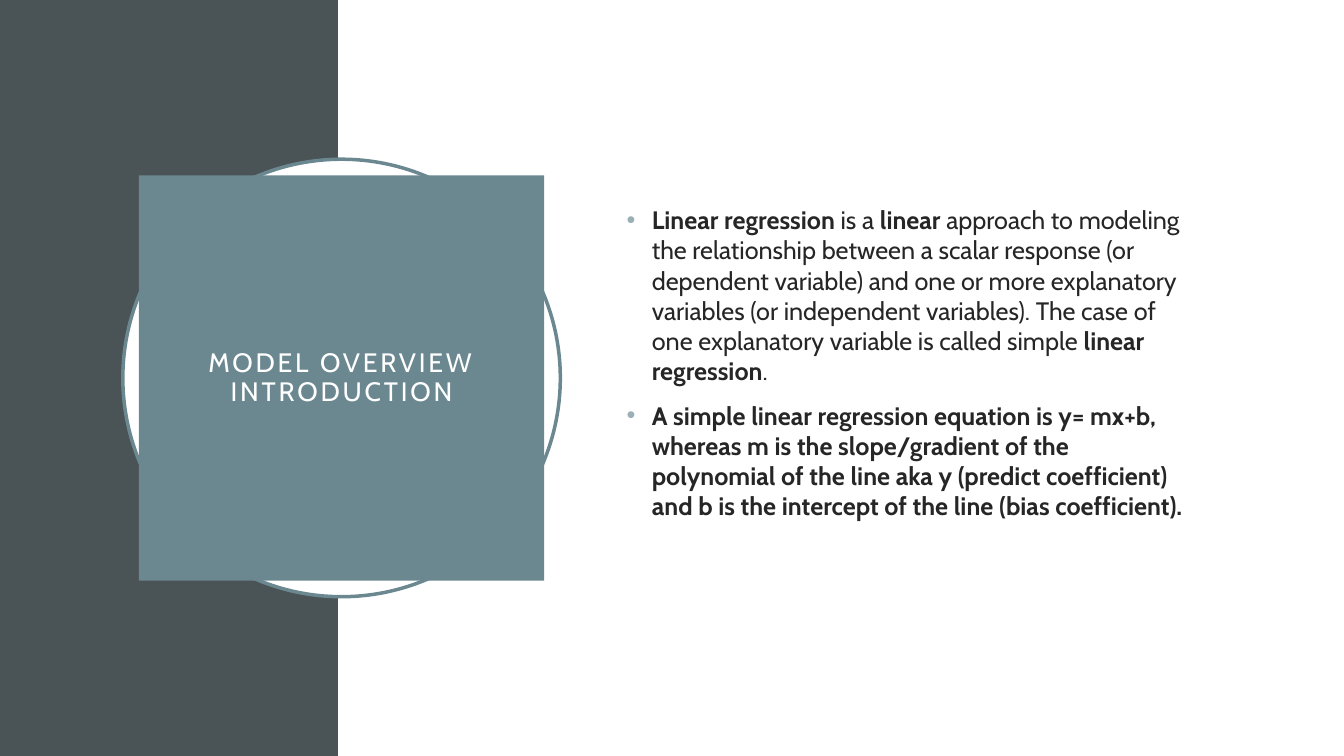
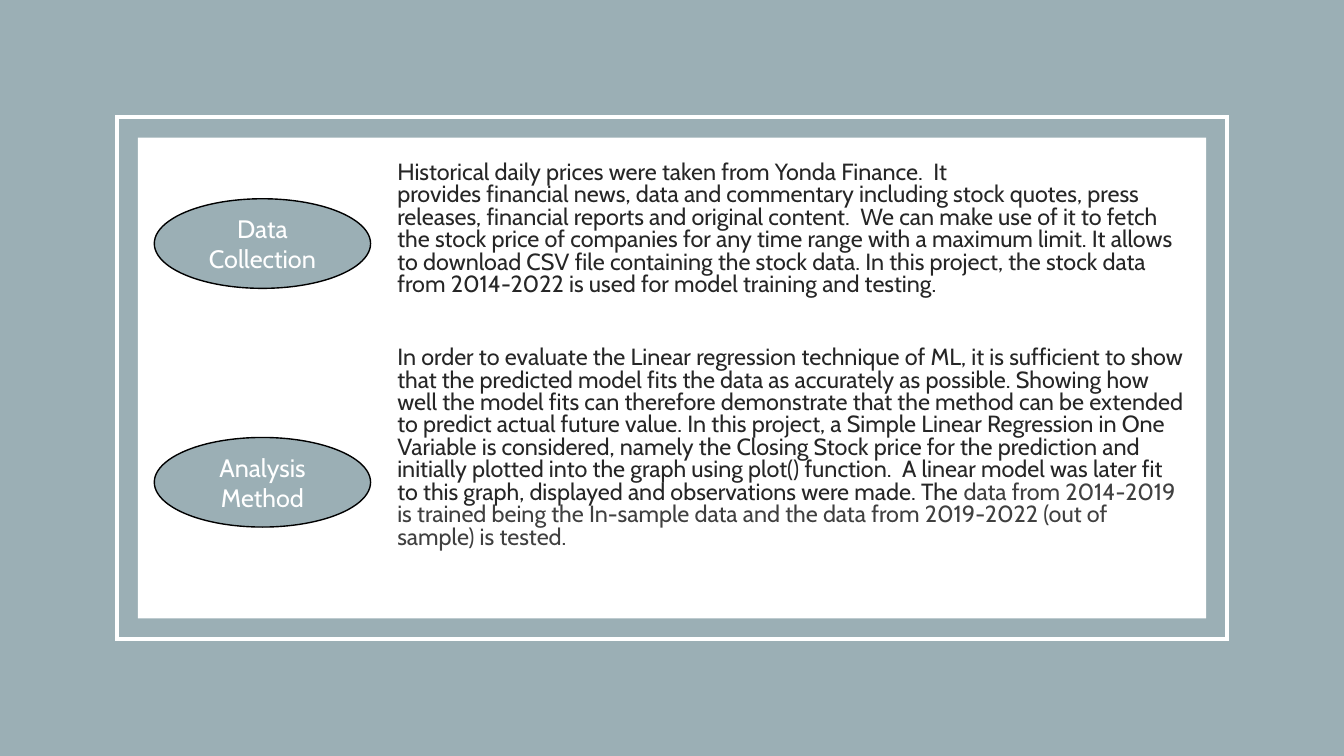
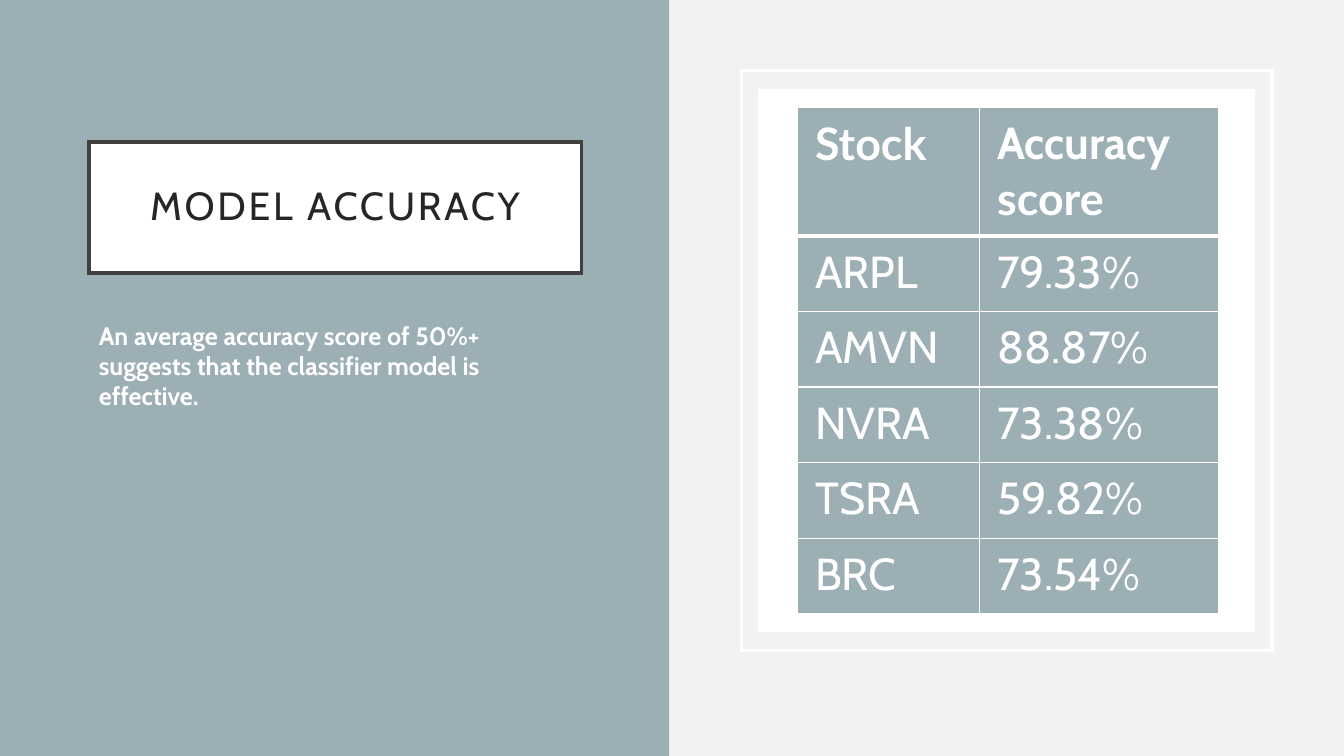
from pptx import Presentation
from pptx.dml.color import RGBColor
from pptx.enum.shapes import MSO_SHAPE as Shape
from pptx.enum.text import MSO_ANCHOR as Anchor, PP_ALIGN as Align
from pptx.oxml.ns import qn
from pptx.util import Pt
from lxml.etree import SubElement, Element

WIDTH, HEIGHT = 960, 540
FONT = "Cabin"
NBSP = chr(160)
COLOURS = {
    "white": "FFFFFF", "pale": "F2F2F2", "mist": "9BAFB5", "teal": "6B8891",
    "slate": "4A5356", "ink": "262626", "grey": "404040", "black": "000000",
}
TITLE = dict(align=Align.CENTER, anchor=Anchor.MIDDLE, line=0.9, tracking=2,
             insets=(14.4, 14.4))


def colour(name):
    return RGBColor.from_string(COLOURS[name])


def points(values):
    return [Pt(value) for value in values]


# Text
def add_bullet(para, mark, mark_colour, indent):
    props = para._p.get_or_add_pPr()
    props.set("marL", str(Pt(indent)))
    props.set("indent", str(-Pt(indent)))
    tint = SubElement(props, qn("a:buClr"))
    SubElement(tint, qn("a:srgbClr"), val=COLOURS[mark_colour])
    SubElement(props, qn("a:buFont"), typeface="Arial")
    SubElement(props, qn("a:buChar"), char=mark)


def write(frame, paras, size=18, ink="ink", font=FONT, bold=False, align=Align.LEFT,
          anchor=Anchor.TOP, line=None, before=0, tracking=0, bullet=None,
          insets=(7.2, 3.6)):
    """Each paragraph is a list of runs; a run is (text, overrides)."""
    frame.word_wrap = True
    frame.vertical_anchor = anchor
    frame.margin_left = frame.margin_right = Pt(insets[0])
    frame.margin_top = frame.margin_bottom = Pt(insets[1])
    for index, runs in enumerate(paras):
        para = frame.add_paragraph() if index else frame.paragraphs[0]
        para.alignment = align
        para.space_before = Pt(before)
        if line:
            para.line_spacing = line
        if bullet:
            add_bullet(para, bullet, "mist", 18)
        for text, changes in runs:
            look = dict(ink=ink, font=font, bold=bold) | changes
            for number, part in enumerate(text.splitlines()):
                if number:
                    para.add_line_break()
                span = para.add_run()
                span.text = part
                span.font.size = Pt(size)
                span.font.name = look["font"]
                span.font.bold = look["bold"]
                span.font.color.rgb = colour(look["ink"])
                if tracking:
                    span._r.get_or_add_rPr().set("spc", str(tracking * 100))


def plain(text):
    return [[(text, {})]]


def add_text(page, box, paras, **look):
    write(page.shapes.add_textbox(*points(box)).text_frame, paras, **look)


# Shapes
def add_block(page, box, fill=None, line=None, weight=2.5, kind=Shape.RECTANGLE):
    block = page.shapes.add_shape(kind, *points(box))
    block.shadow.inherit = False
    if fill:
        block.fill.solid()
        block.fill.fore_color.rgb = colour(fill)
    else:
        block.fill.background()
    if line:
        block.line.color.rgb = colour(line)
        block.line.width = Pt(weight)
        SubElement(block.line._get_or_add_ln(), qn("a:miter"), lim="800000")
    else:
        block.line.fill.background()
    return block


def grow(box, across, down):
    left, top, width, height = box
    return left - across, top - down, width + 2 * across, height + 2 * down


def add_panel(page, box, across, down):
    """White panel with a white outline set off around it."""
    add_block(page, box, fill="white")
    add_block(page, grow(box, across, down), line="white")


def add_page(deck, background):
    page = deck.slides.add_slide(deck.slide_layouts[6])
    page.background.fill.solid()
    page.background.fill.fore_color.rgb = colour(background)
    return page


# Table
def set_borders(cell, **weights):
    props = cell._tc.get_or_add_tcPr()
    for index, side in enumerate("LRTB"):
        edge = Element(qn("a:ln" + side), w=str(Pt(weights.get(side, 1))))
        fill = SubElement(edge, qn("a:solidFill"))
        SubElement(fill, qn("a:srgbClr"), val=COLOURS["white"])
        props.insert(index, edge)


def add_score_table(page, left, top, columns, head_height, row_height, rows):
    heights = [head_height] + [row_height] * (len(rows) - 1)
    box = (left, top, sum(columns), sum(heights))
    table = page.shapes.add_table(len(rows), len(columns), *points(box)).table
    for column, width in zip(table.columns, columns):
        column.width = Pt(width)
    for row_index, (row, height, texts) in enumerate(zip(table.rows, heights, rows)):
        row.height = Pt(height)
        for cell, runs in zip(row.cells, texts):
            write(cell.text_frame, [runs], size=32, ink="white", bold=row_index == 0)
            cell.margin_left = cell.margin_right = Pt(12.75)
            cell.margin_top = cell.margin_bottom = Pt(6.4)
            cell.fill.solid()
            cell.fill.fore_color.rgb = colour("mist")
            set_borders(cell, T=3 if row_index == 1 else 1, B=3 if row_index == 0 else 1)


# Slide 1: title badge over a dark side band
def add_badge(page, box, title):
    add_block(page, box, fill="white", line="teal", kind=Shape.OVAL)
    square = add_block(page, grow(box, -11.5, -11.5), fill="teal")
    write(square.text_frame, plain(title), size=19, ink="white", **TITLE)


def build_overview(deck):
    page = add_page(deck, "white")
    band = 241.5
    add_block(page, (0, 0, band, HEIGHT), fill="slate")
    add_block(page, (band, 0, WIDTH - band, HEIGHT), fill="white")
    add_badge(page, (87.75, 113.75, 312.5, 312.5), "MODEL OVERVIEW\nINTRODUCTION")
    strong = dict(bold=True)
    add_text(page, (440.5, 115.25, 419, 287.5), [
        [("Linear regression", strong), (" is a ", {}), ("linear", strong),
         (" approach to modeling the relationship between a scalar response (or "
          "dependent variable) and one or more explanatory variables (or independent "
          "variables). The case of one explanatory variable is called simple ", {}),
         ("linear regression", strong), (".", {})],
        [("A simple linear regression equation is y= mx+b, whereas m is the "
          "slope/gradient of the polynomial of the line aka y (predict coefficient) "
          "and b is the intercept of the line (bias coefficient).", strong)],
    ], anchor=Anchor.MIDDLE, before=10, bullet="•")


# Slide 2: framed text with oval labels
def build_method(deck):
    page = add_page(deck, "mist")
    panel = (98.5, 98.25, 763, 343.5)
    add_panel(page, panel, 15, 14.75)
    left, top = panel[:2]
    add_text(page, (left + 178.25, top + 14.25, 576, 292), [
        [("Historical daily prices were taken from Yonda Finance.  It "
          f"provides{NBSP}financial{NBSP}news, data and commentary including stock "
          "quotes, press releases, financial reports and original content.  We can "
          "make use of it to fetch the stock price of companies for any time range "
          "with a maximum limit. It allows to download CSV file containing the stock "
          "data. In this project, the stock data from 2014-2022 is used for model "
          "training and testing.", {})],
        [("In order to evaluate the Linear regression technique of ML, it is sufficient "
          "to show that the predicted model fits the data as accurately as possible. "
          "Showing how well the model fits can therefore demonstrate that the method "
          "can be extended to predict actual future value. In this project, a Simple "
          "Linear Regression in One Variable is considered, namely the Closing Stock "
          "price for the prediction and initially plotted into the graph using plot() "
          "function.  A linear model was later fit to this graph, displayed and "
          "observations were made. The ", {}),
         ("data from 2014-2019 is trained being the In-sample data and the data from "
          "2019-2022 (out of sample) is tested.", dict(ink="grey"))],
    ], size=16.7, line=0.8, before=36)
    for label, drop in (("Data Collection", 43.75), ("Analysis Method", 214.25)):
        oval = add_block(page, (left + 11.75, top + drop, 154.5, 64), fill="mist",
                         line="black", weight=1, kind=Shape.OVAL)
        write(oval.text_frame, plain(label), ink="white", align=Align.CENTER,
              anchor=Anchor.MIDDLE)


# Slide 3: title and remark beside a score table
def add_remark(page, left, width, title, remark):
    heading = add_block(page, (left, 101.5, width, 93.5), fill="white", line="grey")
    write(heading.text_frame, plain(title), size=28, **TITLE)
    add_text(page, (left, 225.25, width, 240), plain(remark), ink="white", bold=True,
             before=10)


def build_accuracy(deck):
    page = add_page(deck, "pale")
    add_block(page, (0, 0, 478, HEIGHT), fill="mist")
    add_remark(page, 63.5, 352, "MODEL ACCURACY",
               "An average accuracy score of 50%+ suggests that the classifier model "
               "is effective.")
    panel = (541.5, 63.5, 355, 388)
    add_panel(page, panel, 12, 13)
    lato = dict(font="Lato")
    scores = (("ARPL", "79.33%"), ("AMVN", "88.87%"), ("NVRA", "73.38%"),
              ("TSRA", "59.82%"), ("BRC", "73.54%"))
    header = [[("Stock", lato)], [("Accuracy ", {}), ("score", lato)]]
    rows = [header] + [[[(text, {})] for text in score] for score in scores]
    add_score_table(page, panel[0] + 28, panel[1] + 13, (130, 171), 92, 54, rows)


def main():
    deck = Presentation()
    deck.slide_width, deck.slide_height = points((WIDTH, HEIGHT))
    for build in (build_overview, build_method, build_accuracy):
        build(deck)
    deck.save("out.pptx")


if __name__ == "__main__":
    main()
